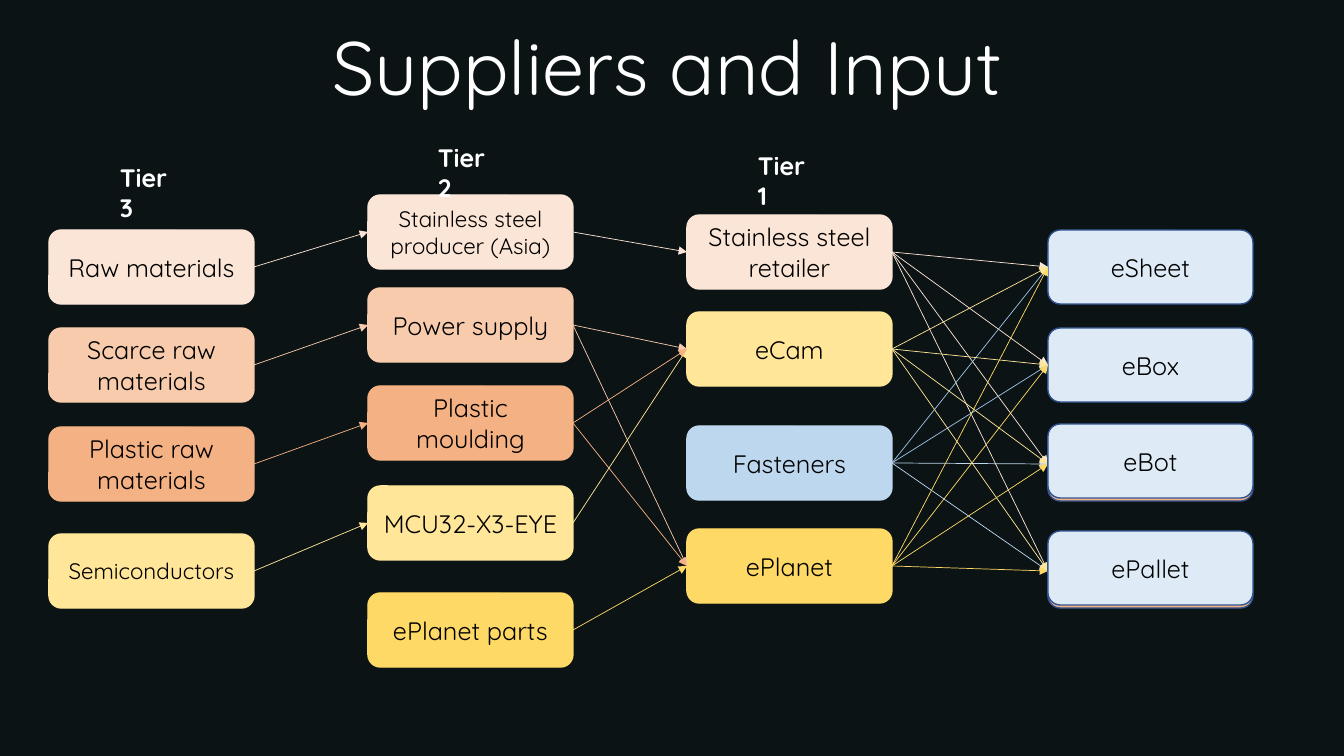
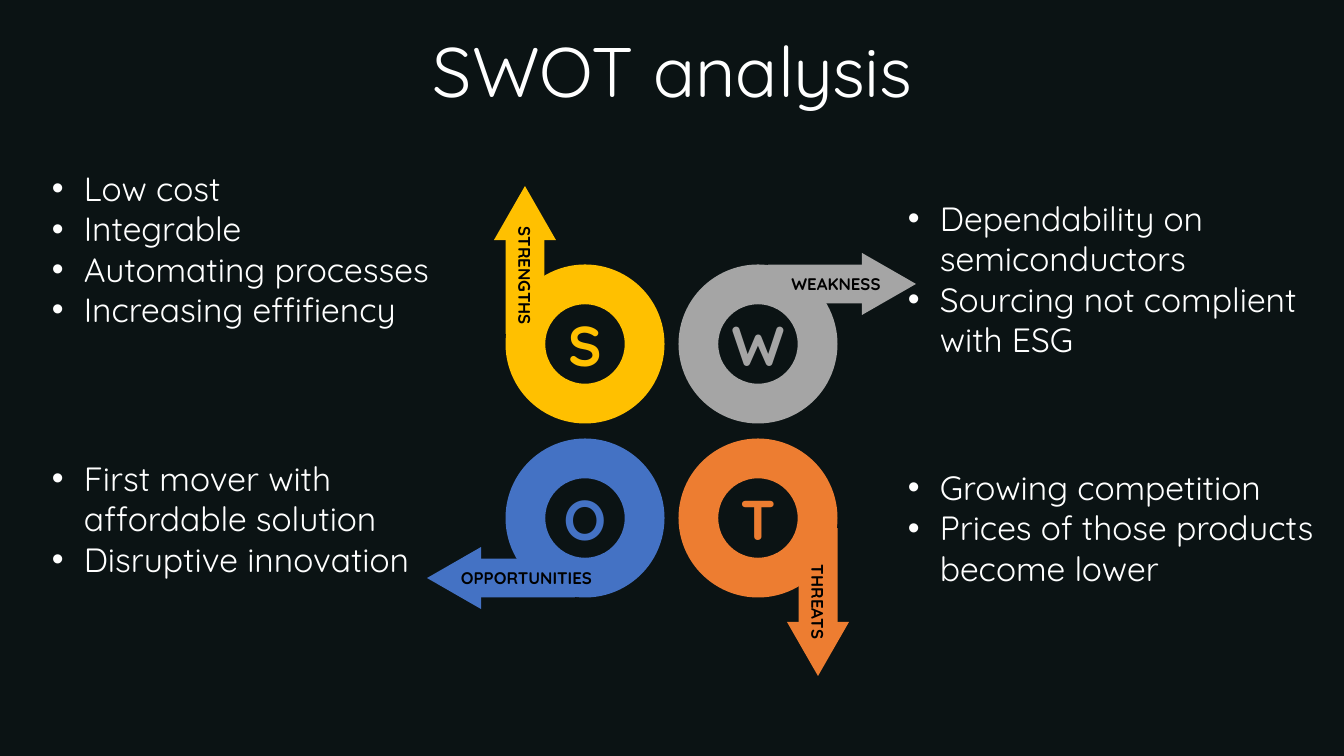
"""Build two dark slides: a supplier network and a SWOT analysis."""
from lxml import etree
from pptx import Presentation
from pptx import util as u
from pptx.dml.color import RGBColor
from pptx.enum import shapes, text
from pptx.oxml import ns

NIGHT = RGBColor(0x0B, 0x13, 0x14)
WHITE = RGBColor(0xFF, 0xFF, 0xFF)
BLACK = RGBColor(0x00, 0x00, 0x00)
CREAM = RGBColor(0xFB, 0xE5, 0xD6)
PEACH = RGBColor(0xF8, 0xCB, 0xAD)
APRICOT = RGBColor(0xF4, 0xB1, 0x83)
LEMON = RGBColor(0xFF, 0xE6, 0x99)
HONEY = RGBColor(0xFF, 0xD9, 0x66)
SKY = RGBColor(0xBD, 0xD7, 0xEE)
AZURE = RGBColor(0x9D, 0xC3, 0xE6)
ICE = RGBColor(0xDE, 0xEB, 0xF7)
NAVY = RGBColor(0x32, 0x54, 0x91)
GOLD = RGBColor(0xFF, 0xC0, 0x00)
GREY = RGBColor(0xA5, 0xA5, 0xA5)
BLUE = RGBColor(0x44, 0x72, 0xC4)
ORANGE = RGBColor(0xED, 0x7D, 0x31)

FONT = "Quicksand"
EMU_PER_PX = 914400 / 100.8
WIDTH, HEIGHT = 1344, 756
TITLE_ONLY = 5
BOX_WIDTH, BOX_HEIGHT = 205, 74
BULLET_INDENT = 32
RING, STEM, HEAD = 159, (96, 39), (62, 54)
STEM_REACH, HEAD_REACH, ARM_SIDE = 58, 131, 60

LEFT, CENTER, RIGHT = text.PP_ALIGN.LEFT, text.PP_ALIGN.CENTER, text.PP_ALIGN.RIGHT
TOP, MIDDLE = text.MSO_ANCHOR.TOP, text.MSO_ANCHOR.MIDDLE
PRESET = shapes.MSO_SHAPE


def px(length):
    return u.Emu(round(length * EMU_PER_PX))


def centred(x, y, width, height):
    return x - width / 2, y - height / 2, width, height


def add_bullet(para):
    properties = para._p.get_or_add_pPr()
    properties.set("marL", str(px(BULLET_INDENT)))
    properties.set("indent", str(-px(BULLET_INDENT)))
    etree.SubElement(properties, ns.qn("a:buFont")).set("typeface", "Arial")
    etree.SubElement(properties, ns.qn("a:buChar")).set("char", "•")


def write(frame, words, *, size=18, color=WHITE, bold=False, align=LEFT,
          anchor=TOP, spacing=None, bullets=False):
    frame.word_wrap = True
    frame.auto_size = text.MSO_AUTO_SIZE.NONE
    frame.vertical_anchor = anchor
    for index, line in enumerate(words.split("\n")):
        para = frame.add_paragraph() if index else frame.paragraphs[0]
        if bullets:
            add_bullet(para)
        para.alignment = align
        if spacing:
            para.line_spacing = spacing
        span = para.add_run()
        span.text = line
        span.font.name = FONT
        span.font.size = u.Pt(size)
        span.font.bold = bold
        span.font.color.rgb = color


class Board:
    def __init__(self):
        self.deck = Presentation()
        self.deck.slide_width, self.deck.slide_height = px(WIDTH), px(HEIGHT)
        fill = self.deck.slide_master.background.fill
        fill.solid()
        fill.fore_color.rgb = NIGHT
        self.page = None

    def start(self, title, area, **style):
        self.page = self.deck.slides.add_slide(self.deck.slide_layouts[TITLE_ONLY])
        box = self.page.shapes.title
        box.left, box.top, box.width, box.height = map(px, area)
        write(box.text_frame, title, align=CENTER, **style)

    def label(self, words, area, rotation=0, **style):
        box = self.page.shapes.add_textbox(*map(px, area))
        box.rotation = rotation
        write(box.text_frame, words, **style)

    def shape(self, preset, area, fill, line=None, rotation=0):
        shape = self.page.shapes.add_shape(preset, *map(px, area))
        shape.shadow.inherit = False
        shape.rotation = rotation % 360
        shape.fill.solid()
        shape.fill.fore_color.rgb = fill
        if line is None:
            shape.line.fill.background()
        else:
            shape.line.color.rgb = line
            shape.line.width = u.Pt(1)
        return shape

    def node(self, words, x, y, fill, line=None, size=18):
        area = (x, y, BOX_WIDTH, BOX_HEIGHT)
        box = self.shape(PRESET.ROUNDED_RECTANGLE, area, fill, line or fill)
        if words:
            write(box.text_frame, words, size=size, color=BLACK, align=CENTER, anchor=MIDDLE)
        return box

    def arrow(self, source, target, color):
        link = self.page.shapes.add_connector(shapes.MSO_CONNECTOR.STRAIGHT, 0, 0, 0, 0)
        link.begin_connect(source, 3)
        link.end_connect(target, 1)
        link.line.color.rgb = color
        link.line.width = u.Pt(0.5)
        etree.SubElement(link.line._get_or_add_ln(), ns.qn("a:tailEnd")).set("type", "triangle")
        etree.SubElement(link._element.spPr, ns.qn("a:effectLst"))

    def swot_part(self, name, x, y, color, direction, angle, label_reach, label_width, align):
        along_x, along_y = direction

        def arm_point(reach):
            return (x + along_x * reach + along_y * ARM_SIDE,
                    y + along_y * reach - along_x * ARM_SIDE)

        self.shape(PRESET.DONUT, centred(x, y, RING, RING), color)
        self.shape(PRESET.RECTANGLE, centred(*arm_point(STEM_REACH), *STEM), color,
                   rotation=angle - 90)
        self.shape(PRESET.ISOSCELES_TRIANGLE, centred(*arm_point(HEAD_REACH), *HEAD), color,
                   rotation=angle)
        self.label(name[0], centred(x, y, 80, 78), size=40, color=color, bold=True,
                   align=CENTER, anchor=MIDDLE)
        self.label(name, centred(*arm_point(label_reach), label_width, 30),
                   rotation=90 if along_y else 0, size=12, color=BLACK, bold=True, align=align)


def build_suppliers(board):
    board.start("Suppliers and Input", (219, 15, 896, 102), size=54)
    columns = [
        (49, [("Raw materials", 230, CREAM, 18), ("Scarce raw materials", 328, PEACH, 18),
              ("Plastic raw materials", 427, APRICOT, 18), ("Semiconductors", 534, LEMON, 16)]),
        (368, [("Stainless steel producer (Asia)", 195, CREAM, 16),
               ("Power supply", 288, PEACH, 18), ("Plastic moulding", 386, APRICOT, 18),
               ("MCU32-X3-EYE", 486, LEMON, 18), ("ePlanet parts", 593, HONEY, 18)]),
        (687, [("Stainless steel retailer", 215, CREAM, 18), ("eCam", 312, LEMON, 18),
               ("Fasteners", 426, SKY, 18), ("ePlanet", 529, HONEY, 18)]),
    ]
    raw, makers, sellers = [
        [board.node(words, x, y, fill, size=size) for words, y, fill, size in rows]
        for x, rows in columns]
    product_x = 1048
    products = [board.node(words, product_x, y, fill, NAVY) for words, y, fill in [
        ("eSheet", 230, ICE), ("eBox", 328, ICE), ("", 427, APRICOT), ("", 534, APRICOT)]]

    steel, camera, fasteners, planet = sellers
    flows = list(zip(raw, makers, (CREAM, PEACH, APRICOT, LEMON)))
    flows += [(makers[0], steel, CREAM), (makers[1], camera, PEACH), (makers[1], planet, PEACH),
              (makers[3], camera, LEMON), (makers[4], planet, HONEY)]
    for seller, colors in [(steel, [CREAM] * 4), (fasteners, [AZURE, AZURE, SKY, SKY]),
                           (planet, [HONEY] * 4), (camera, [LEMON] * 4)]:
        flows += [(seller, product, color) for product, color in zip(products, colors)]
    flows += [(makers[2], camera, APRICOT), (makers[2], planet, APRICOT)]
    for source, target, color in flows:
        board.arrow(source, target, color)

    for words, y in [("eBot", 424), ("ePallet", 531)]:
        board.node(words, product_x, y, ICE, NAVY)
    for words, x, y in [("Tier 1", 748, 145), ("Tier 2", 428, 137), ("Tier 3", 110, 157)]:
        board.label(words, (x, y, 82, 72), bold=True)


def build_swot(board):
    board.start("SWOT analysis", (35, 37, 1276, 80), size=50, anchor=MIDDLE, spacing=0.8)
    left, right, upper, lower = 585, 758, 344, 518
    for part in [
        ("OPPORTUNITIES", left, lower, BLUE, (-1, 0), 270, 41, 186, LEFT),
        ("WEAKNESS", right, upper, GREY, (1, 0), 90, 63, 139, RIGHT),
        ("STRENGTHS", left, upper, GOLD, (0, -1), 0, 53, 148, LEFT),
        ("THREATS", right, lower, ORANGE, (0, 1), 180, 74, 114, RIGHT),
    ]:
        board.swot_part(*part)
    for words, x, y, height in [
        ("Low cost\nIntegrable\nAutomating processes\nIncreasing effifiency", 42, 163, 173),
        ("Dependability on semiconductors\nSourcing not complient with ESG", 898, 193, 173),
        ("First mover with affordable solution\nDisruptive innovation", 42, 453, 132),
        ("Growing competition\nPrices of those products become lower", 898, 462, 132),
    ]:
        board.label(words, (x, y, 446, height), size=24, bullets=True)


def main():
    board = Board()
    build_suppliers(board)
    build_swot(board)
    board.deck.save("out.pptx")


if __name__ == "__main__":
    main()
